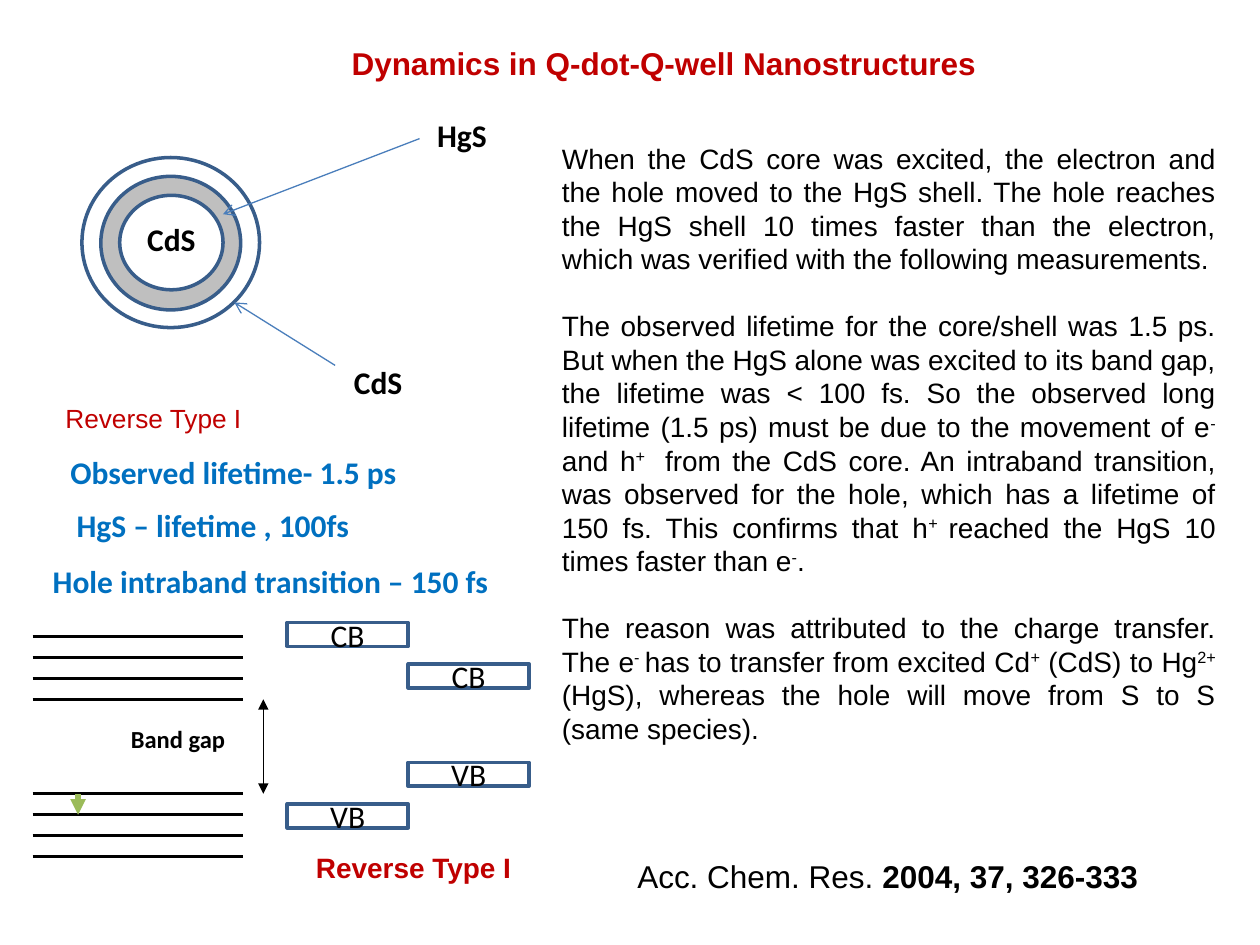
from dataclasses import dataclass

from lxml.etree import SubElement
from pptx import Presentation
from pptx.dml.color import RGBColor
from pptx.enum.shapes import MSO_CONNECTOR, MSO_SHAPE
from pptx.enum.text import MSO_ANCHOR as Anchor, MSO_AUTO_SIZE as AutoSize, PP_ALIGN as Align
from pptx.oxml.ns import qn
from pptx.util import Inches, Pt


@dataclass(frozen=True)
class Theme:
    red: str = "C00000"
    blue: str = "0070C0"
    black: str = "000000"
    white: str = "FFFFFF"
    gray: str = "BFBFBF"
    green: str = "9BBB59"
    outline: str = "385D8A"
    pointer: str = "4A7EBB"
    sans: str = "Arial"
    label: str = "Calibri"
    large: float = 18
    body: float = 16
    caption: float = 15
    small: float = 14


THEME = Theme()
CELL = Inches(0.1)  # the slide is a grid of 100 columns by 75 rows
COLUMNS, ROWS = 100, 75

BODY = (
    "When the CdS core was excited, the electron and the hole moved to the HgS shell. "
    "The hole reaches the HgS shell 10 times faster than the electron, which was verified "
    "with the following measurements.",
    "The observed lifetime for the core/shell was 1.5 ps. But when the HgS alone was excited "
    "to its band gap, the lifetime was < 100 fs. So the observed long lifetime (1.5 ps) must "
    "be due to the movement of e^-^ and h^+ ^ from the CdS core. An intraband transition, was "
    "observed for the hole, which has a lifetime of 150 fs. This confirms that h^+ ^reached "
    "the HgS 10 times faster than e^-^.",
    "The reason was attributed to the charge transfer. The e^- ^has to transfer from excited "
    "Cd^+^ (CdS) to Hg^2+^ (HgS), whereas the hole will move from S to S (same species). ",
)


def grid(*cells):
    return [round(cell * CELL) for cell in cells]


def apply(target, **values):
    for name, value in values.items():
        setattr(target, name, value)


def set_font(font, size=THEME.large, color=THEME.black, name=THEME.label, bold=False):
    apply(font, size=Pt(size), name=name, bold=bold)
    font.color.rgb = RGBColor.from_string(color)


def write(paragraph, text, **font_values):
    """Add runs; parts between carets are superscripts, between bars bold."""
    mark = "^" if "^" in text else "|"
    for index, part in enumerate(text.split(mark)):
        run = paragraph.add_run()
        run.text = part
        set_font(run.font, **font_values)
        if index % 2 and mark == "^":
            run._r.get_or_add_rPr().set("baseline", "30000")
        elif index % 2:
            run.font.bold = True


def place(shape, *cells):
    left, top, width, height = grid(*cells)
    apply(shape, left=left, top=top, width=width, height=height)


def add_label(slide, cells, text, **font_values):
    box = slide.shapes.add_textbox(*grid(*cells))
    apply(box.text_frame, word_wrap=False, auto_size=AutoSize.NONE)
    write(box.text_frame.paragraphs[0], text, **font_values)


def add_outlined(slide, kind, cells, fill=None):
    shape = slide.shapes.add_shape(kind, *grid(*cells))
    shape.shadow.inherit = False
    if fill:
        shape.fill.solid()
        shape.fill.fore_color.rgb = RGBColor.from_string(fill)
    else:
        shape.fill.background()
    shape.line.color.rgb = RGBColor.from_string(THEME.outline)
    shape.line.width = Pt(2)
    return shape


def add_line(slide, cells, color=THEME.black, width=1.5, head=None, tail=None):
    line = slide.shapes.add_connector(MSO_CONNECTOR.STRAIGHT, *grid(*cells))
    line.line.color.rgb = RGBColor.from_string(color)
    line.line.width = Pt(width)
    for tag, kind in (("a:headEnd", head), ("a:tailEnd", tail)):
        if kind:
            SubElement(line.line._get_or_add_ln(), qn(tag)).set("type", kind)
    SubElement(line._element.spPr, qn("a:effectLst"))


def add_band(slide, left, top, text):
    band = add_outlined(slide, MSO_SHAPE.RECTANGLE, (left, top, 9.6, 1.9))
    band.text_frame.vertical_anchor = Anchor.MIDDLE
    paragraph = band.text_frame.paragraphs[0]
    paragraph.alignment = Align.CENTER
    write(paragraph, text)


def fill_title(title):
    place(title, 26.9, 3, 51.6, 4)
    apply(title.text_frame, word_wrap=False, auto_size=AutoSize.NONE, vertical_anchor=Anchor.TOP)
    paragraph = title.text_frame.paragraphs[0]
    paragraph.alignment = Align.LEFT
    write(paragraph, "Dynamics in Q-dot-Q-well Nanostructures",
          color=THEME.red, name=THEME.sans, bold=True)


def fill_body(body):
    place(body, 43.6, 10.7, 53.9, 51.7)
    frame = body.text_frame
    apply(frame, word_wrap=True, auto_size=AutoSize.NONE, vertical_anchor=Anchor.TOP)
    for index, text in enumerate(BODY):
        paragraph = frame.add_paragraph() if index else frame.paragraphs[0]
        properties = paragraph._p.get_or_add_pPr()
        for name in ("marL", "indent"):
            properties.set(name, "0")
        apply(paragraph, alignment=Align.JUSTIFY, space_before=Pt(19 if index else 0))
        SubElement(properties, qn("a:buNone"))
        write(paragraph, text, size=THEME.body, name=THEME.sans)


def draw_particle(slide):
    # Shell, core and outer layer
    add_outlined(slide, MSO_SHAPE.OVAL, (8, 14, 11.1, 10.6), THEME.gray)
    add_outlined(slide, MSO_SHAPE.OVAL, (9.5, 15.5, 8.2, 7.5), THEME.white)
    add_outlined(slide, MSO_SHAPE.OVAL, (6.5, 12.5, 14.1, 13.5))
    for cells, text in (((10.7, 17, 5.8, 4), "CdS"),
                        ((33.7, 8.7, 5.9, 4), "HgS"),
                        ((27.1, 28.3, 5.8, 4), "CdS")):
        add_label(slide, cells, text, bold=True)
    for cells in ((33.3, 11, 17.7, 17), (26.6, 29, 18.6, 24)):
        add_line(slide, cells, THEME.pointer, 0.75, tail="arrow")
    add_label(slide, (4.2, 31.4, 16.1, 3.5), "Reverse Type I",
              size=THEME.caption, color=THEME.red, name=THEME.sans)


def list_lifetimes(slide):
    for cells, text in (((4.6, 35.5, 28, 4), "Observed lifetime- 1.5 ps"),
                        ((5.1, 39.7, 23.7, 4), "HgS – lifetime , 100fs"),
                        ((3.2, 44.1, 36.7, 4), "Hole intraband transition – 150 fs")):
        add_label(slide, cells, text, color=THEME.blue, bold=True)


def draw_levels(slide):
    upper, lower, count, step = 50.5, 63, 4, 5 / 3
    for first in (upper, lower):
        for index in range(count):
            row = first + index * step
            add_line(slide, (2.6, row, 19.3, row))
    gap_top = upper + (count - 1) * step
    add_line(slide, (20.9, gap_top, 20.9, lower), width=0.75, head="triangle", tail="triangle")
    add_label(slide, (9.4, 57, 9.5, 3.4), "Band gap", size=THEME.small, bold=True)
    add_line(slide, (6.2, lower, 6.2, lower + step), THEME.green, 3, tail="triangle")


def draw_bands(slide):
    for left, top, text in ((22.8, 49.4, "CB"), (22.8, 63.8, "VB"),
                            (32.4, 52.7, "CB"), (32.4, 60.5, "VB")):
        add_band(slide, left, top, text)
    add_label(slide, (24.1, 67, 17.6, 3.7), "Reverse Type I",
              size=THEME.body, color=THEME.red, name=THEME.sans, bold=True)


def main():
    presentation = Presentation()
    apply(presentation, slide_width=COLUMNS * CELL, slide_height=ROWS * CELL)
    slide = presentation.slides.add_slide(presentation.slide_layouts[1])
    fill_title(slide.shapes.title)
    fill_body(slide.placeholders[1])
    draw_particle(slide)
    list_lifetimes(slide)
    draw_levels(slide)
    draw_bands(slide)
    add_label(slide, (49.6, 67.5, 41.7, 4), "Acc. Chem. Res. |2004, 37, 326-333|", name=THEME.sans)
    presentation.save("out.pptx")


if __name__ == "__main__":
    main()
